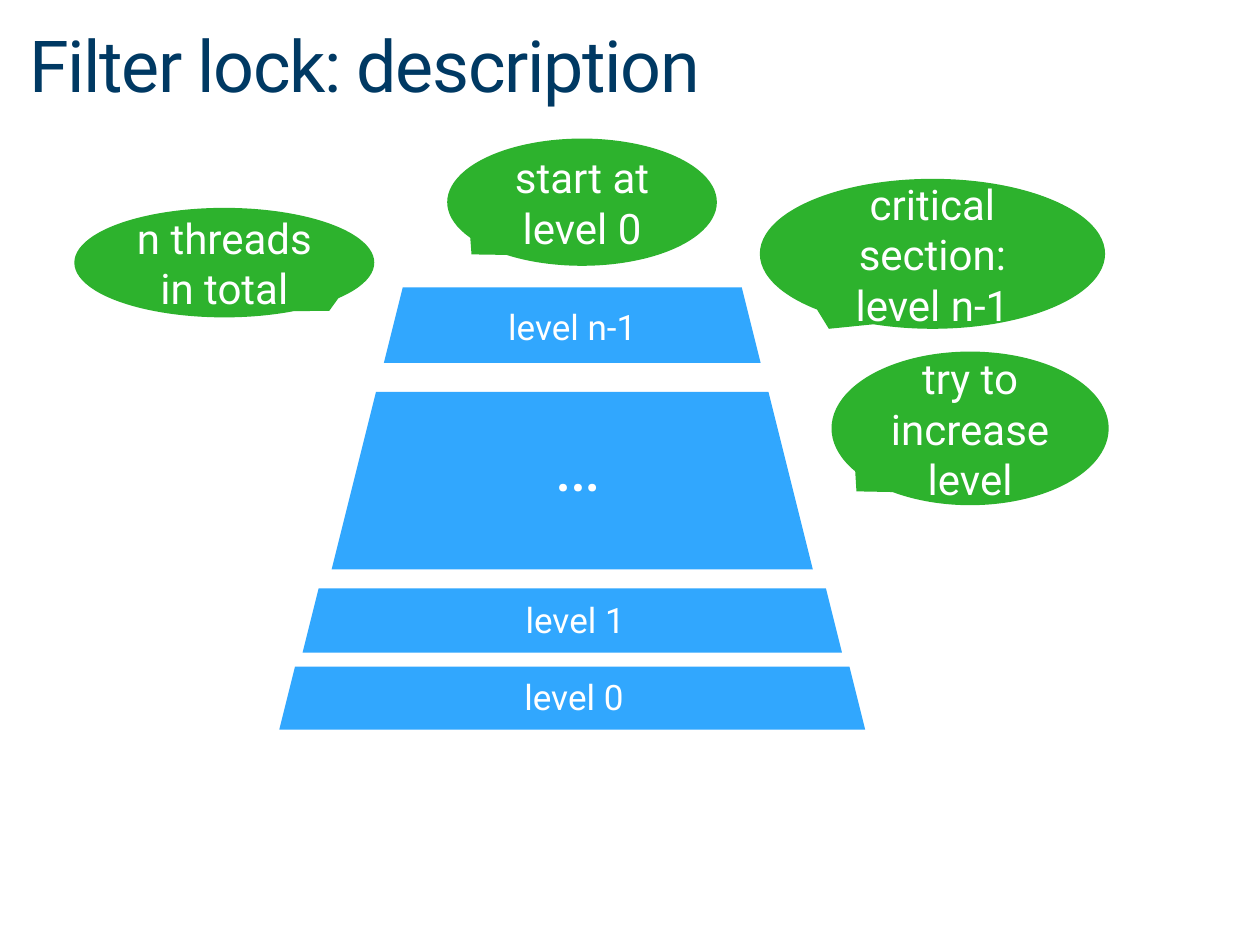
from pptx import Presentation
from pptx.dml.color import RGBColor
from pptx.enum.shapes import MSO_SHAPE
from pptx.enum.text import MSO_ANCHOR, MSO_AUTO_SIZE, PP_ALIGN
from pptx.util import Pt

FONT = "Roboto"
NAVY, BLUE, GREEN, WHITE = "003963", "31A7FE", "2DB22D", "FFFFFF"
INSET = 3.6

# Content: boxes are left, top, width, height in points
TITLE = "Filter lock: description"
PYRAMID_CENTER = 327
LEVELS = [  # top, width, height, text inside
    (380.9, 334.8, 36, ""),
    (336.2, 308.2, 36.7, ""),
    (223.9, 275, 101.5, ""),
    (164.2, 215.3, 43.2, "level n-1"),
]
LABELS = [  # text, box, size
    ("level 0", (291.6, 382.3, 72.7, 31.7), 20),
    ("level 1", (292.3, 338.4, 72.7, 31.7), 20),
    ("…", (303.1, 237.6, 54.7, 55.4), 40),
]
CALLOUTS = [  # text, box, pointer tip
    ("n threads in total", (42.5, 118.8, 171.4, 62.6), (0.35, 0.44)),
    ("critical section: level n-1", (434.2, 102.2, 197.3, 85.7), (-0.3, 0.5)),
    ("try to increase level", (475.2, 200.9, 158.4, 87.8), (-0.41, 0.41)),
    ("start at level 0", (255.6, 79.2, 154.1, 72.7), (-0.41, 0.41)),
]


def color(code):
    return RGBColor.from_string(code)


def set_margins(frame, margin):
    frame.margin_left = frame.margin_right = Pt(margin)
    frame.margin_top = frame.margin_bottom = Pt(margin)


def write(frame, text, size, ink=WHITE, align=PP_ALIGN.CENTER):
    frame.text = text
    paragraph = frame.paragraphs[0]
    paragraph.alignment = align
    paragraph.font.name = FONT
    paragraph.font.size = Pt(size)
    paragraph.font.color.rgb = color(ink)
    return paragraph


def add_figure(slide, preset, box, fill, text, size):
    figure = slide.shapes.add_shape(preset, *map(Pt, box))
    figure.shadow.inherit = False
    figure.fill.solid()
    figure.fill.fore_color.rgb = color(fill)
    figure.line.fill.background()
    if text:
        frame = figure.text_frame
        frame.word_wrap = True
        frame.vertical_anchor = MSO_ANCHOR.MIDDLE
        set_margins(frame, INSET)
        write(frame, text, size)
    return figure


def main():
    deck = Presentation()
    deck.slide_width, deck.slide_height = Pt(720), Pt(540)
    slide = deck.slides.add_slide(deck.slide_layouts[5])

    # Title
    title = slide.shapes.title
    title.left, title.top, title.width, title.height = map(Pt, (16.6, 17.3, 658.8, 45.4))
    frame = title.text_frame
    frame.auto_size = MSO_AUTO_SIZE.SHAPE_TO_FIT_TEXT
    frame.vertical_anchor = MSO_ANCHOR.TOP
    set_margins(frame, 0)
    heading = write(frame, TITLE, 41, NAVY, PP_ALIGN.LEFT)
    heading.line_spacing = 0.9
    heading.runs[0]._r.get_or_add_rPr().set("spc", "-80")

    # Pyramid of levels, sharing one centre line
    for top, width, height, text in LEVELS:
        box = (PYRAMID_CENTER - width / 2, top, width, height)
        add_figure(slide, MSO_SHAPE.TRAPEZOID, box, BLUE, text, 20)

    # Labels on the lower levels
    for text, box, size in LABELS:
        label = slide.shapes.add_textbox(*map(Pt, box))
        label.text_frame.word_wrap = False
        label.text_frame.auto_size = MSO_AUTO_SIZE.SHAPE_TO_FIT_TEXT
        write(label.text_frame, text, size)

    # Speech bubbles
    for text, box, tip in CALLOUTS:
        bubble = add_figure(slide, MSO_SHAPE.OVAL_CALLOUT, box, GREEN, text, 24)
        bubble.adjustments[0], bubble.adjustments[1] = tip

    deck.save("out.pptx")


if __name__ == "__main__":
    main()
